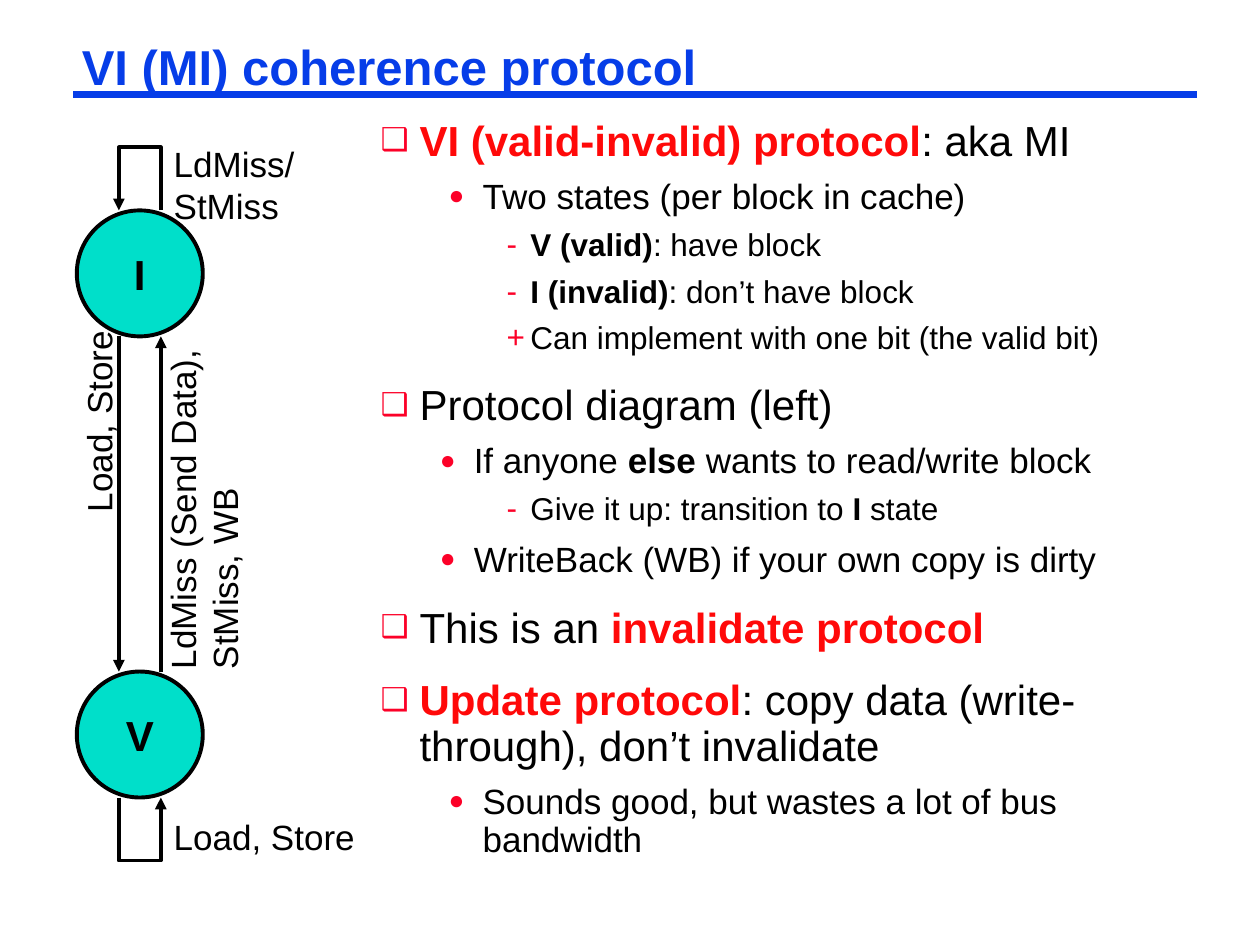
from lxml import etree
from pptx import Presentation
from pptx.dml.color import RGBColor
from pptx.enum.shapes import MSO_CONNECTOR, MSO_SHAPE
from pptx.enum.text import MSO_ANCHOR, MSO_AUTO_SIZE, PP_ALIGN
from pptx.oxml.ns import qn
from pptx.util import Inches, Pt

LINE = MSO_CONNECTOR.STRAIGHT
CIRCLE = MSO_SHAPE.FLOWCHART_CONNECTOR
LEFT, CENTER = PP_ALIGN.LEFT, PP_ALIGN.CENTER
TOP, MIDDLE = MSO_ANCHOR.TOP, MSO_ANCHOR.MIDDLE
FIXED = MSO_AUTO_SIZE.NONE
BLUE, TEAL, BLACK, RED, MARK = "063DE8", "00DFCA", "000000", "FF0909", "FC0128"

# The two states share a column; arrows leave at a third and two thirds of it.
SIZE, EDGE = 1, 0.61
DOWN, UP = EDGE + SIZE / 3, EDGE + SIZE * 2 / 3
I_TOP, V_TOP, LOOP = 1.67, 5.33, 0.5

# Level: text size, space before (%), bullet size (%), hanging indent
LEVELS = [(24, 65, 75, 0.31), (20, 40, 75, 0.27), (18, 40, 100, 0.19)]

# Level, bullet, left margin, runs; "*" marks bold and "!" bold red
POINTS = [
    (0, "❑", 0.31, ["!VI (valid-invalid) protocol", ": aka MI"]),
    (1, "●", 0.81, ["Two states (per block in cache)"]),
    (2, "-", 1.19, ["*V (valid)", ": have block"]),
    (2, "-", 1.19, ["*I (invalid)", ": don’t have block"]),
    (2, "+", 1.19, ["Can implement with one bit (the valid bit)"]),
    (0, "❑", 0.31, ["Protocol diagram (left)"]),
    (1, "●", 0.74, ["If anyone ", "*else", " wants to read/write block"]),
    (2, "-", 1.19, ["Give it up: transition to ", "*I", " state"]),
    (1, "●", 0.74, ["WriteBack (WB) if your own copy is dirty"]),
    (0, "❑", 0.31, ["This is an ", "!invalidate protocol"]),
    (0, "❑", 0.31, ["!Update protocol",
                    ": copy data (write-through), don’t invalidate"]),
    (1, "●", 0.81, ["Sounds good, but wastes a lot of bus bandwidth"]),
]
LABELS = [
    ("Load, Store", (-0.05, 3.11, 1.67, 0.44), 270),
    ("LdMiss (Send Data), StMiss, WB", (0.24, 3.65, 2.75, 0.77), 270),
    ("Load, Store", (1.28, 6.42, 1.75, 0.44), 0),
    ("LdMiss/ StMiss", (1.28, 1.08, 1.42, 0.77), 0),
]


def color(code):
    return RGBColor.from_string(code)


def apply(obj, **values):
    for name, value in values.items():
        setattr(obj, name, value)


def child(node, tag, **values):
    return etree.SubElement(node, qn(tag), values)


def place(shape, box):
    names = ("left", "top", "width", "height")
    apply(shape, **dict(zip(names, map(Inches, box))))


def frame(shape, anchor=TOP, wrap=True, pad=(0.1, 0.05)):
    side, end = map(Inches, pad)
    apply(shape.text_frame, auto_size=FIXED, word_wrap=wrap,
          vertical_anchor=anchor, margin_left=side, margin_right=side,
          margin_top=end, margin_bottom=end)
    return shape.text_frame


def write(para, text, size, code=BLACK, bold=False):
    run = para.add_run()
    run.text = text
    apply(run.font, name="Arial", size=Pt(size), bold=bold)
    run.font.color.rgb = color(code)


def stroke(shape, code=BLACK, width=2.25, arrow=False):
    shape.line.color.rgb = color(code)
    shape.line.width = Pt(width)
    if arrow:
        child(shape.line._get_or_add_ln(), "a:tailEnd", type="triangle")


def line(slide, start, end, **style):
    item = slide.shapes.add_connector(LINE, *map(Inches, start + end))
    stroke(item, **style)
    child(item._element.spPr, "a:effectLst")


def loop(slide, points):
    """Draw an open path with an arrowhead at its end."""
    first, *rest = [tuple(map(Inches, point)) for point in points]
    pen = slide.shapes.build_freeform(*first)
    pen.add_line_segments(rest, close=False)
    shape = pen.convert_to_shape()
    shape.shadow.inherit = False
    shape.fill.background()
    stroke(shape, arrow=True)


def state(slide, name, top):
    sides = map(Inches, (EDGE, top, SIZE, SIZE))
    shape = slide.shapes.add_shape(CIRCLE, *sides)
    shape.shadow.inherit = False
    shape.fill.solid()
    shape.fill.fore_color.rgb = color(TEAL)
    stroke(shape)
    para = frame(shape, MIDDLE, False).paragraphs[0]
    para.alignment = CENTER
    write(para, name, 24, bold=True)


def label(slide, text, box, turn):
    shape = slide.shapes.add_textbox(*map(Inches, box))
    shape.rotation = turn
    write(frame(shape).paragraphs[0], text, 20)


def head(slide, text):
    title = slide.shapes.title
    place(title, (0.58, 0.33, 8.92, 0.46))
    para = frame(title, MIDDLE, pad=(0.07, 0.03)).paragraphs[0]
    apply(para, alignment=LEFT, line_spacing=0.87)
    write(para, text, 28, BLUE, True)


def bullet(para, level, mark, margin):
    _, space, scale, hang = LEVELS[level]
    apply(para, level=level, alignment=LEFT, line_spacing=0.9)
    props = para._p.get_or_add_pPr()
    props.set("marL", str(Inches(margin)))
    props.set("indent", str(-Inches(hang)))
    child(child(props, "a:spcBef"), "a:spcPct", val=str(space * 1000))
    child(child(props, "a:buClr"), "a:srgbClr", val=MARK)
    child(props, "a:buSzPct", val=str(scale * 1000))
    child(props, "a:buFont", typeface="Arial")
    child(props, "a:buChar", char=mark)


def outline(slide):
    body = slide.placeholders[1]
    place(body, (2.95, 0.92, 6.69, 6.29))
    text = frame(body, pad=(0.07, 0.03))
    for count, (level, mark, margin, runs) in enumerate(POINTS):
        para = text.add_paragraph() if count else text.paragraphs[0]
        bullet(para, level, mark, margin)
        for run in runs:
            write(para, run.lstrip("*!"), LEVELS[level][0],
                  RED if run[0] == "!" else BLACK, run[0] in "*!")


def diagram(slide):
    i_end, v_end = I_TOP + SIZE, V_TOP + SIZE
    state(slide, "I", I_TOP)
    state(slide, "V", V_TOP)
    line(slide, (UP, V_TOP), (UP, i_end), arrow=True)
    line(slide, (DOWN, i_end), (DOWN, V_TOP), arrow=True)
    for start, end, near, far in ((UP, DOWN, I_TOP, I_TOP - LOOP),
                                  (DOWN, UP, v_end, v_end + LOOP)):
        loop(slide, [(start, near), (start, far), (end, far), (end, near)])
    for item in LABELS:
        label(slide, *item)


def main():
    deck = Presentation()
    apply(deck, slide_width=Inches(10), slide_height=Inches(7.5))
    slide = deck.slides.add_slide(deck.slide_layouts[1])
    line(slide, (0.58, 0.75), (9.5, 0.75), code=BLUE, width=4.5)
    head(slide, "VI (MI) coherence protocol")
    outline(slide)
    diagram(slide)
    deck.save("out.pptx")


if __name__ == "__main__":
    main()
